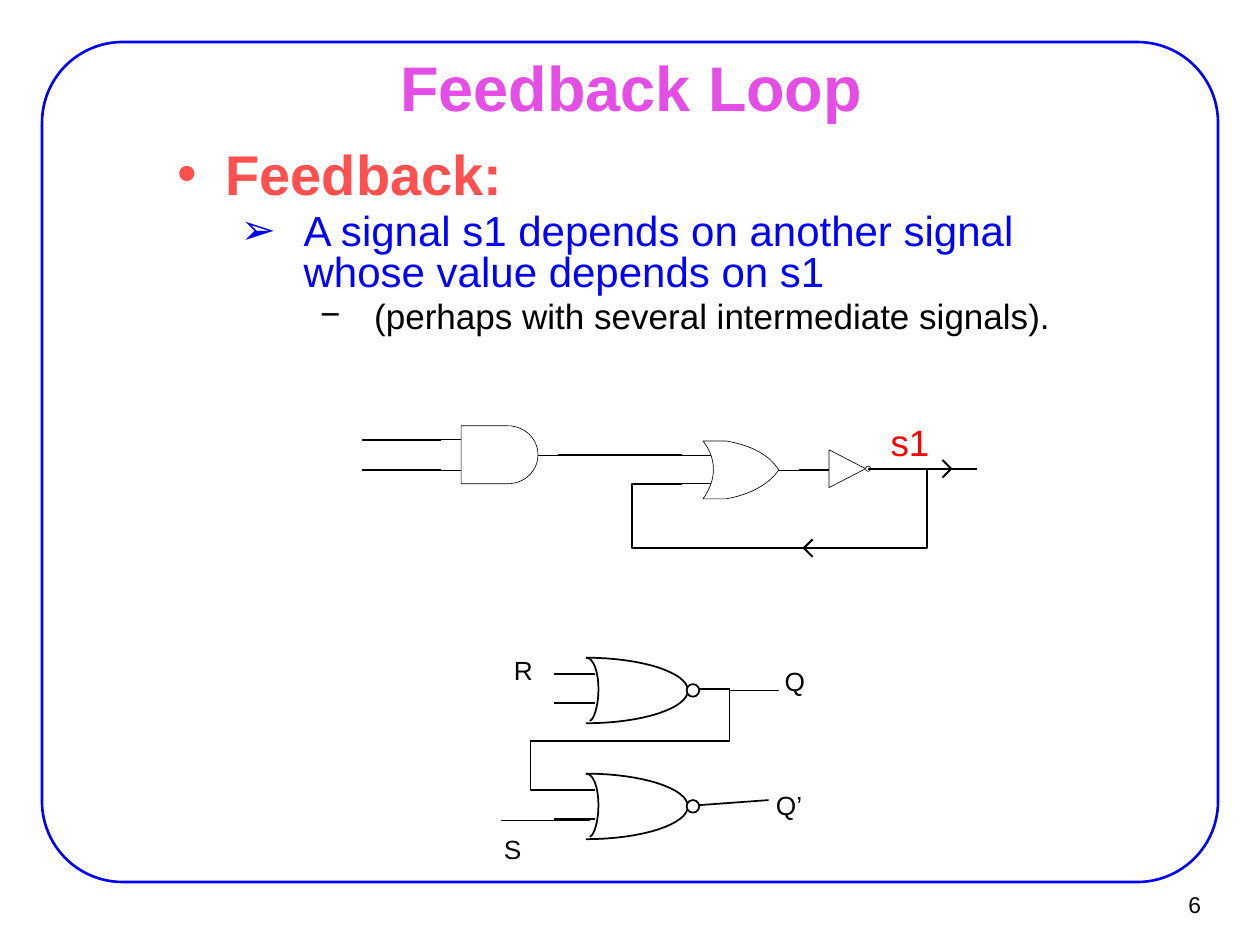
from dataclasses import dataclass

from lxml import etree
from pptx import Presentation, util as u
from pptx.dml.color import RGBColor
from pptx.enum import shapes, text
from pptx.oxml.ns import qn


@dataclass(frozen=True)
class Theme:
    font: str = "Arial"
    ink: str = "000000"
    paper: str = "FFFFFF"
    blue: str = "0000FF"
    pink: str = "E44EE4"
    coral: str = "FF5050"
    red: str = "FF0000"
    title: int = 36
    label: int = 15
    signal: int = 21
    page: int = 13
    thin: float = 0.38
    link: float = 0.75
    mid: float = 1
    bold: float = 1.13
    frame: float = 1.5


T = Theme()
W, H = 10, 7.5
EDGE = W / 30

TITLE = "Feedback Loop"
# words, size, colour, bold, bullet, indent, hang
BODY = [
    ("Feedback:", 32, T.coral, True, "•", 0.38, 0.38),
    ("A signal s1 depends on another signal whose value depends on s1",
     24, T.blue, False, "➢", 1, 0.5),
    ("(perhaps with several intermediate signals).",
     20, T.ink, False, "−", 1.56, 0.43),
]
# words, box
LABELS = [
    ("R", (3.98, 5.17, 0.35, 0.33)),
    ("S", (3.9, 6.59, 0.34, 0.33)),
    ("Q", (6.13, 5.26, 0.36, 0.33)),
    ("Q’", (6.06, 6.24, 0.41, 0.33)),
]

# Outlines start at (0, 0); a pair is a corner, six numbers are a curve.
AND = [(0, 0), (0.37, 0), (0.5, 0, 0.61, 0.1, 0.61, 0.23),
       (0.61, 0.36, 0.5, 0.46, 0.37, 0.46), (0, 0.46)]
OR = [(0, 0), (0.18, 0), (0.37, 0.03, 0.53, 0.11, 0.6, 0.23),
      (0.53, 0.34, 0.37, 0.43, 0.18, 0.46), (0, 0.46),
      (0.11, 0.31, 0.11, 0.14, 0, 0)]
NOT = [(0, 0), (0.29, 0.15), (0, 0.3)]
NOR = [(0, 0), (0.45, 0, 0.81, 0.12, 0.81, 0.26),
       (0.81, 0.4, 0.45, 0.52, 0, 0.52)]
BACK = [(0, 0), (0.06, 0, 0.1, 0.11, 0.1, 0.25),
        (0.1, 0.39, 0.06, 0.5, 0.03, 0.5)]
RIGHT = [(0, 0), (0.07, 0.07), (0, 0.14)]
LEFT = [(0, 0), (-0.07, 0.07), (0, 0.14)]
LOOP = [(0, 0), (0, 0.63), (-2.34, 0.63), (-2.34, 0.12), (-1.95, 0.12)]
CROSS = [(0, 0), (0, 0.4), (-1.58, 0.4), (-1.58, 0.79), (-1.11, 0.79)]

# outline, left, top, line width, fill
GATES = [(AND, 3.66, 3.38, T.thin, T.paper),
         (OR, 5.58, 3.5, T.thin, T.paper),
         (NOT, 6.58, 3.57, T.thin, T.paper)]
PATHS = [(RIGHT, 7.48, 3.65, T.bold, None),
         (LEFT, 6.45, 4.28, T.bold, None),
         (LOOP, 7.36, 3.72, T.bold, None),
         (CROSS, 5.79, 5.48, T.link, None)]
LATCH = (5.22, 6.14)

# from x, from y, to x, to y, width
LEADS = [(3.5, 3.49, 3.97, 3.49, T.thin), (3.5, 3.73, 3.97, 3.73, T.thin),
         (3.97, 3.61, 4.43, 3.61, T.thin), (5.41, 3.61, 5.88, 3.61, T.thin),
         (5.41, 3.84, 5.88, 3.84, T.thin), (5.88, 3.73, 6.34, 3.73, T.thin)]
WIRES = [(2.87, 3.49, 3.5, 3.49, T.bold), (2.87, 3.73, 3.5, 3.73, T.bold),
         (4.43, 3.61, 5.41, 3.61, T.bold), (6.34, 3.73, 6.58, 3.73, T.bold),
         (6.89, 3.72, 7.75, 3.72, T.bold),
         (5.55, 5.47, 5.79, 5.47, T.mid), (5.55, 6.39, 6.1, 6.35, T.mid),
         (3.98, 6.51, 4.68, 6.51, T.link), (5.79, 5.48, 6.18, 5.48, T.link)]


def inches(*nums):
    return [u.Inches(n) for n in nums]


def rgb(code):
    return RGBColor.from_string(code)


def paint(shape, width, fill=None, line=T.ink):
    shape.shadow.inherit = False
    shape.line.color.rgb = rgb(line)
    shape.line.width = u.Pt(width)
    if fill:
        shape.fill.solid()
        shape.fill.fore_color.rgb = rgb(fill)
    else:
        shape.fill.background()


def write(para, words, size, color=T.ink, bold=False, align=None, lead=None,
          before=None):
    run = para.add_run()
    run.text = words
    font = run.font
    font.name, font.size, font.bold = T.font, u.Pt(size), bold
    font.color.rgb = rgb(color)
    para.alignment = align
    para.line_spacing = lead
    if before is not None:
        para.space_before = u.Pt(before)


def setup(shape, box, wrap=True, pad=(0.1, 0.05), anchor=text.MSO_ANCHOR.TOP):
    """Place a text shape and return its first paragraph."""
    shape.left, shape.top, shape.width, shape.height = inches(*box)
    frame = shape.text_frame
    frame.word_wrap = wrap
    frame.auto_size = text.MSO_AUTO_SIZE.NONE
    frame.vertical_anchor = anchor
    frame.margin_left = frame.margin_right = u.Inches(pad[0])
    frame.margin_top = frame.margin_bottom = u.Inches(pad[1])
    return frame.paragraphs[0]


def label(slide, words, box, size, wrap=False, anchor=text.MSO_ANCHOR.TOP,
          **fmt):
    shape = slide.shapes.add_textbox(*inches(*box))
    write(setup(shape, box, wrap, anchor=anchor), words, size, **fmt)


def bullet(para, mark, indent, hang):
    props = para._p.get_or_add_pPr()
    props.set("marL", str(u.Inches(indent)))
    props.set("indent", str(-u.Inches(hang)))
    etree.SubElement(props, qn("a:buChar")).set("char", mark)


def trace(steps, count=16):
    """Turn corners and cubic curves into a list of points."""
    pts = []
    for step in steps:
        if len(step) == 2:
            pts.append(step)
            continue
        knots = [pts[-1], step[:2], step[2:4], step[4:]]
        for i in range(1, count + 1):
            t = i / count
            mix = ((1 - t) ** 3, 3 * t * (1 - t) ** 2,
                   3 * t * t * (1 - t), t ** 3)
            pts.append(tuple(sum(m * k[a] for m, k in zip(mix, knots))
                             for a in (0, 1)))
    return pts


def draw(slide, steps, left, top, width, fill=None):
    pts = [inches(left + x, top + y) for x, y in trace(steps)]
    form = slide.shapes.build_freeform(*pts[0])
    form.add_line_segments(pts[1:], close=bool(fill))
    paint(form.convert_to_shape(), width, fill)


def wire(slide, x1, y1, x2, y2, width):
    line = slide.shapes.add_connector(shapes.MSO_CONNECTOR.STRAIGHT,
                                      *inches(x1, y1, x2, y2))
    line.line.color.rgb = rgb(T.ink)
    line.line.width = u.Pt(width)
    etree.SubElement(line._element.spPr, qn("a:effectLst"))


def bubble(slide, left, top, size, width):
    dot = slide.shapes.add_shape(shapes.MSO_SHAPE.OVAL,
                                 *inches(left, top, size, size))
    paint(dot, width, T.paper)


def latch(slide, top):
    """Draw one NOR gate with its two inputs and its bubble."""
    draw(slide, NOR, 4.65, top, T.mid)
    draw(slide, BACK, 4.65, top, T.mid)
    for drop in (0.13, 0.36):
        wire(slide, 4.4, top + drop, 4.72, top + drop, T.mid)
    bubble(slide, 5.45, top + 0.21, 0.1, T.mid)


def main():
    deck = Presentation()
    deck.slide_width, deck.slide_height = inches(W, H)
    slide = deck.slides.add_slide(deck.slide_layouts[1])
    title, body = slide.placeholders

    frame = slide.shapes.add_shape(
        shapes.MSO_SHAPE.ROUNDED_RECTANGLE,
        *inches(EDGE, EDGE, W - 2 * EDGE, H - 2.5 * EDGE))
    frame.adjustments[0] = 0.096
    paint(frame, T.frame, line=T.blue)

    para = setup(title, (0.76, 0.44, 8.5, 0.49), pad=(0.11, 0.06),
                 anchor=text.MSO_ANCHOR.MIDDLE)
    write(para, TITLE, T.title, T.pink, True, text.PP_ALIGN.CENTER)
    para = setup(body, (1.3, 1.15, 7.8, 1.65), pad=(0.11, 0.06))
    for level, (words, size, color, bold, *mark) in enumerate(BODY):
        if level:
            para = body.text_frame.add_paragraph()
        para.level = level
        write(para, words, size, color, bold, lead=0.8, before=size / 5)
        bullet(para, *mark)

    for lead in LEADS:
        wire(slide, *lead)
    for gate in GATES:
        draw(slide, *gate)
    bubble(slide, 6.87, 3.7, 0.04, T.thin)
    for top in LATCH:
        latch(slide, top)
    for path in PATHS:
        draw(slide, *path)
    for line in WIRES:
        wire(slide, *line)

    label(slide, "s1", (6.97, 3.28, 0.71, 0.45), T.signal, wrap=True,
          color=T.red, before=T.signal / 2)
    for words, box in LABELS:
        label(slide, words, box, T.label, lead=0.9)
    label(slide, "6", (9.02, 6.99, 0.61, 0.37), T.page,
          anchor=text.MSO_ANCHOR.MIDDLE, align=text.PP_ALIGN.RIGHT)
    deck.save("out.pptx")


if __name__ == "__main__":
    main()
